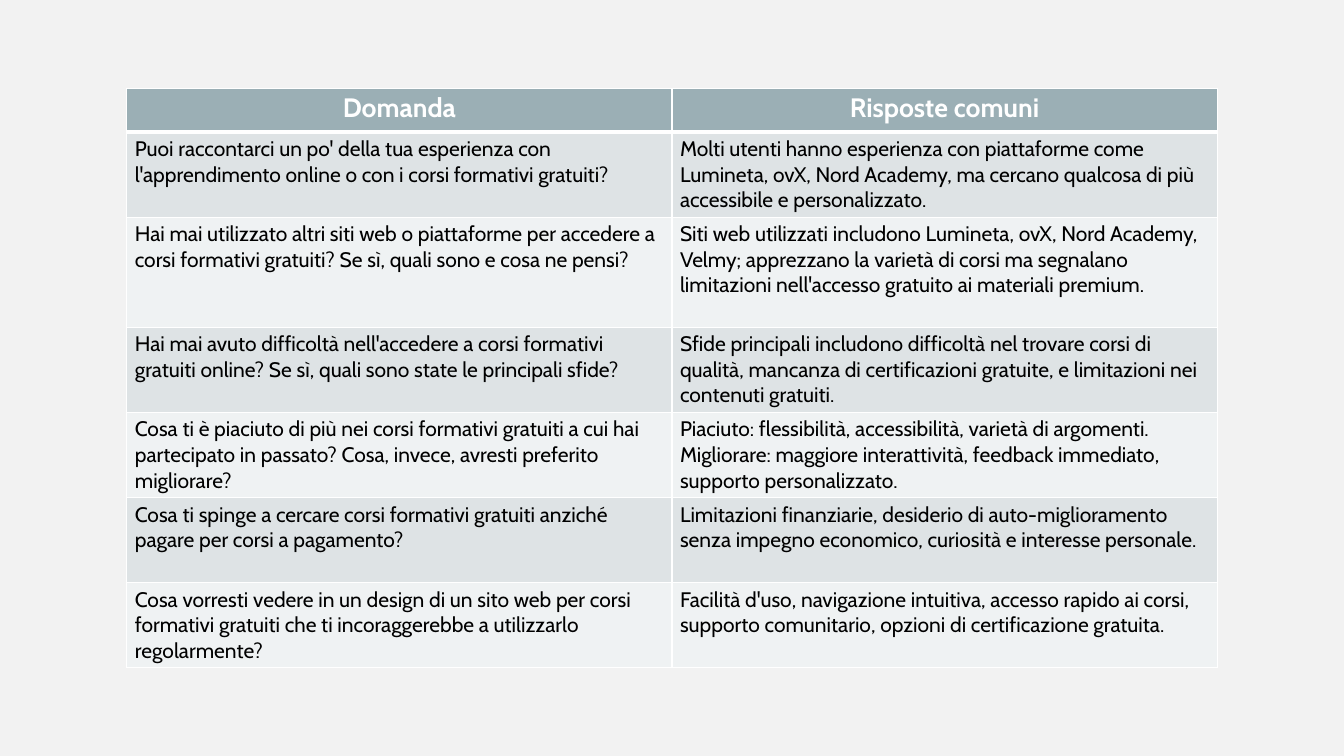
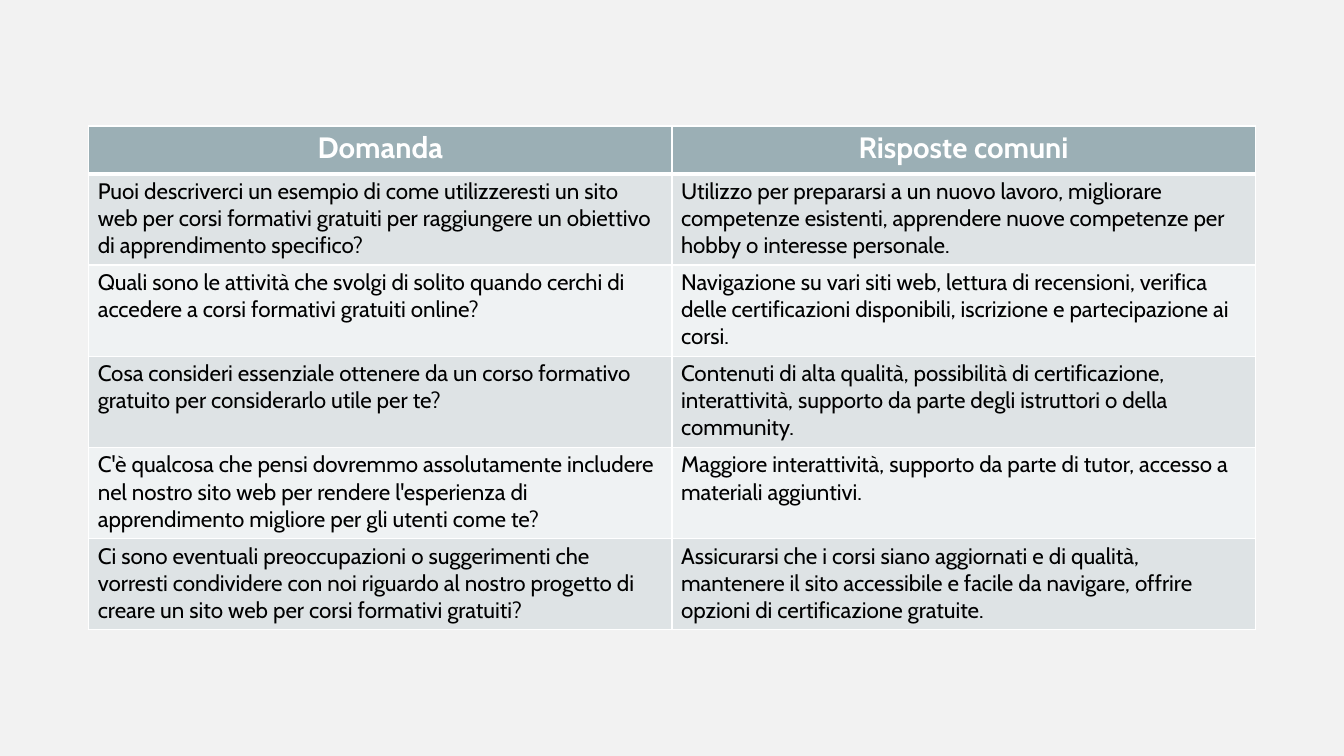
import dataclasses

import pptx
import pptx.dml.color
import pptx.enum.text
import pptx.oxml
import pptx.oxml.ns
import pptx.util


@dataclasses.dataclass(frozen=True)
class Theme:
    font: str = "Cabin"
    background: str = "F2F2F2"
    header_fill: str = "9BAFB5"
    band_fills: tuple[str, str] = ("DEE3E5", "EFF2F3")
    header_text: str = "FFFFFF"
    body_text: str = "000000"
    border: str = "FFFFFF"
    thin_border: float = 1
    thick_border: float = 3
    width: float = 13.33
    height: float = 7.5
    grid_columns: int = 106
    grid_rows: int = 60


@dataclasses.dataclass(frozen=True)
class Interview:
    margin_columns: int
    margin_rows: int
    header_rows: float
    header_size: int
    body_size: int
    side_inset: float
    answers: tuple[tuple[str, str], ...]
    extra_rows: dict[int, float] = dataclasses.field(default_factory=dict)


@dataclasses.dataclass(frozen=True)
class CellStyle:
    fill: str
    color: str
    size: int
    bold: bool
    alignment: pptx.enum.text.PP_ALIGN
    side_inset: float
    top_border: float
    bottom_border: float


THEME = Theme()
HEADINGS = ("Domanda", "Risposte comuni")

INTERVIEWS = (
    Interview(
        margin_columns=10,
        margin_rows=7,
        header_rows=3.5,
        header_size=19,
        body_size=15,
        side_inset=0.08,
        extra_rows={2: 2},
        answers=(
            (
                "Puoi raccontarci un po' della tua esperienza con l'apprendimento online o con i corsi formativi gratuiti?",
                "Molti utenti hanno esperienza con piattaforme come Lumineta, ovX, Nord Academy, ma cercano qualcosa di più accessibile e personalizzato.",
            ),
            (
                "Hai mai utilizzato altri siti web o piattaforme per accedere a corsi formativi gratuiti? Se sì, quali sono e cosa ne pensi?",
                "Siti web utilizzati includono Lumineta, ovX, Nord Academy, Velmy; apprezzano la varietà di corsi ma segnalano limitazioni nell'accesso gratuito ai materiali premium.",
            ),
            (
                "Hai mai avuto difficoltà nell'accedere a corsi formativi gratuiti online? Se sì, quali sono state le principali sfide?",
                "Sfide principali includono difficoltà nel trovare corsi di qualità, mancanza di certificazioni gratuite, e limitazioni nei contenuti gratuiti.",
            ),
            (
                "Cosa ti è piaciuto di più nei corsi formativi gratuiti a cui hai partecipato in passato? Cosa, invece, avresti preferito migliorare?",
                "Piaciuto: flessibilità, accessibilità, varietà di argomenti. Migliorare: maggiore interattività, feedback immediato, supporto personalizzato.",
            ),
            (
                "Cosa ti spinge a cercare corsi formativi gratuiti anziché pagare per corsi a pagamento?",
                "Limitazioni finanziarie, desiderio di auto-miglioramento senza impegno economico, curiosità e interesse personale.",
            ),
            (
                "Cosa vorresti vedere in un design di un sito web per corsi formativi gratuiti che ti incoraggerebbe a utilizzarlo regolarmente?",
                "Facilità d'uso, navigazione intuitiva, accesso rapido ai corsi, supporto comunitario, opzioni di certificazione gratuita.",
            ),
        ),
    ),
    Interview(
        margin_columns=7,
        margin_rows=10,
        header_rows=3.8,
        header_size=21,
        body_size=16,
        side_inset=0.09,
        answers=(
            (
                "Puoi descriverci un esempio di come utilizzeresti un sito web per corsi formativi gratuiti per raggiungere un obiettivo di apprendimento specifico?",
                "Utilizzo per prepararsi a un nuovo lavoro, migliorare competenze esistenti, apprendere nuove competenze per hobby o interesse personale.",
            ),
            (
                "Quali sono le attività che svolgi di solito quando cerchi di accedere a corsi formativi gratuiti online?",
                "Navigazione su vari siti web, lettura di recensioni, verifica delle certificazioni disponibili, iscrizione e partecipazione ai corsi.",
            ),
            (
                "Cosa consideri essenziale ottenere da un corso formativo gratuito per considerarlo utile per te?",
                "Contenuti di alta qualità, possibilità di certificazione, interattività, supporto da parte degli istruttori o della community.",
            ),
            (
                "C'è qualcosa che pensi dovremmo assolutamente includere nel nostro sito web per rendere l'esperienza di apprendimento migliore per gli utenti come te?",
                "Maggiore interattività, supporto da parte di tutor, accesso a materiali aggiuntivi.",
            ),
            (
                "Ci sono eventuali preoccupazioni o suggerimenti che vorresti condividere con noi riguardo al nostro progetto di creare un sito web per corsi formativi gratuiti?",
                "Assicurarsi che i corsi siano aggiornati e di qualità, mantenere il sito accessibile e facile da navigare, offrire opzioni di certificazione gratuite.",
            ),
        ),
    ),
)


def across(columns: float) -> int:
    return pptx.util.Inches(THEME.width * columns / THEME.grid_columns)


def down(rows: float) -> int:
    return pptx.util.Inches(THEME.height * rows / THEME.grid_rows)


def rgb(value: str) -> pptx.dml.color.RGBColor:
    return pptx.dml.color.RGBColor.from_string(value)


def apply_format(target: object, values: dict[str, object]) -> None:
    for name, value in values.items():
        setattr(target, name, value)


def paint(fill: pptx.dml.fill.FillFormat, color: str) -> None:
    fill.solid()
    fill.fore_color.rgb = rgb(color)


def draw_borders(cell: pptx.table._Cell, widths: dict[str, float]) -> None:
    properties = cell._tc.get_or_add_tcPr()
    for side, width in widths.items():
        properties.append(
            pptx.oxml.parse_xml(
                f'<a:{side} {pptx.oxml.ns.nsdecls("a")} w="{pptx.util.Pt(width)}">'
                f'<a:solidFill><a:srgbClr val="{THEME.border}"/></a:solidFill>'
                f"</a:{side}>"
            )
        )


def fill_cell(cell: pptx.table._Cell, text: str, style: CellStyle) -> None:
    side = pptx.util.Inches(style.side_inset)
    edge = pptx.util.Inches(0.04)
    apply_format(
        cell,
        {"margin_left": side, "margin_right": side, "margin_top": edge, "margin_bottom": edge},
    )
    draw_borders(
        cell,
        {
            "lnL": THEME.thin_border,
            "lnR": THEME.thin_border,
            "lnT": style.top_border,
            "lnB": style.bottom_border,
        },
    )
    paint(cell.fill, style.fill)
    paragraph = cell.text_frame.paragraphs[0]
    paragraph.alignment = style.alignment
    run = paragraph.add_run()
    run.text = text
    apply_format(
        run.font,
        {"name": THEME.font, "size": pptx.util.Pt(style.size), "bold": style.bold},
    )
    run.font.color.rgb = rgb(style.color)


def row_style(interview: Interview, row: int) -> CellStyle:
    if row == 0:
        return CellStyle(
            fill=THEME.header_fill,
            color=THEME.header_text,
            size=interview.header_size,
            bold=True,
            alignment=pptx.enum.text.PP_ALIGN.CENTER,
            side_inset=interview.side_inset,
            top_border=THEME.thin_border,
            bottom_border=THEME.thick_border,
        )
    return CellStyle(
        fill=THEME.band_fills[(row - 1) % 2],
        color=THEME.body_text,
        size=interview.body_size,
        bold=False,
        alignment=pptx.enum.text.PP_ALIGN.LEFT,
        side_inset=interview.side_inset,
        top_border=THEME.thick_border if row == 1 else THEME.thin_border,
        bottom_border=THEME.thin_border,
    )


def row_heights(interview: Interview, table_rows: float) -> list[float]:
    extra = interview.extra_rows
    count = len(interview.answers)
    shared = (table_rows - interview.header_rows - sum(extra.values())) / count
    body = [shared + extra.get(row, 0) for row in range(1, count + 1)]
    return [interview.header_rows, *body]


def add_interview(slide: pptx.slide.Slide, interview: Interview) -> None:
    contents = (HEADINGS, *interview.answers)
    table_columns = THEME.grid_columns - 2 * interview.margin_columns
    table_rows = THEME.grid_rows - 2 * interview.margin_rows
    table = slide.shapes.add_table(
        len(contents),
        len(HEADINGS),
        across(interview.margin_columns),
        down(interview.margin_rows),
        across(table_columns),
        down(table_rows),
    ).table
    for column in table.columns:
        column.width = across(table_columns / len(HEADINGS))
    for row, height in enumerate(row_heights(interview, table_rows)):
        table.rows[row].height = down(height)
        style = row_style(interview, row)
        for column, text in enumerate(contents[row]):
            fill_cell(table.cell(row, column), text, style)


def main() -> None:
    presentation = pptx.Presentation()
    apply_format(
        presentation,
        {
            "slide_width": pptx.util.Inches(THEME.width),
            "slide_height": pptx.util.Inches(THEME.height),
        },
    )
    paint(presentation.slide_master.background.fill, THEME.background)
    for interview in INTERVIEWS:
        slide = presentation.slides.add_slide(presentation.slide_layouts[6])
        add_interview(slide, interview)
    presentation.save("out.pptx")


if __name__ == "__main__":
    main()
